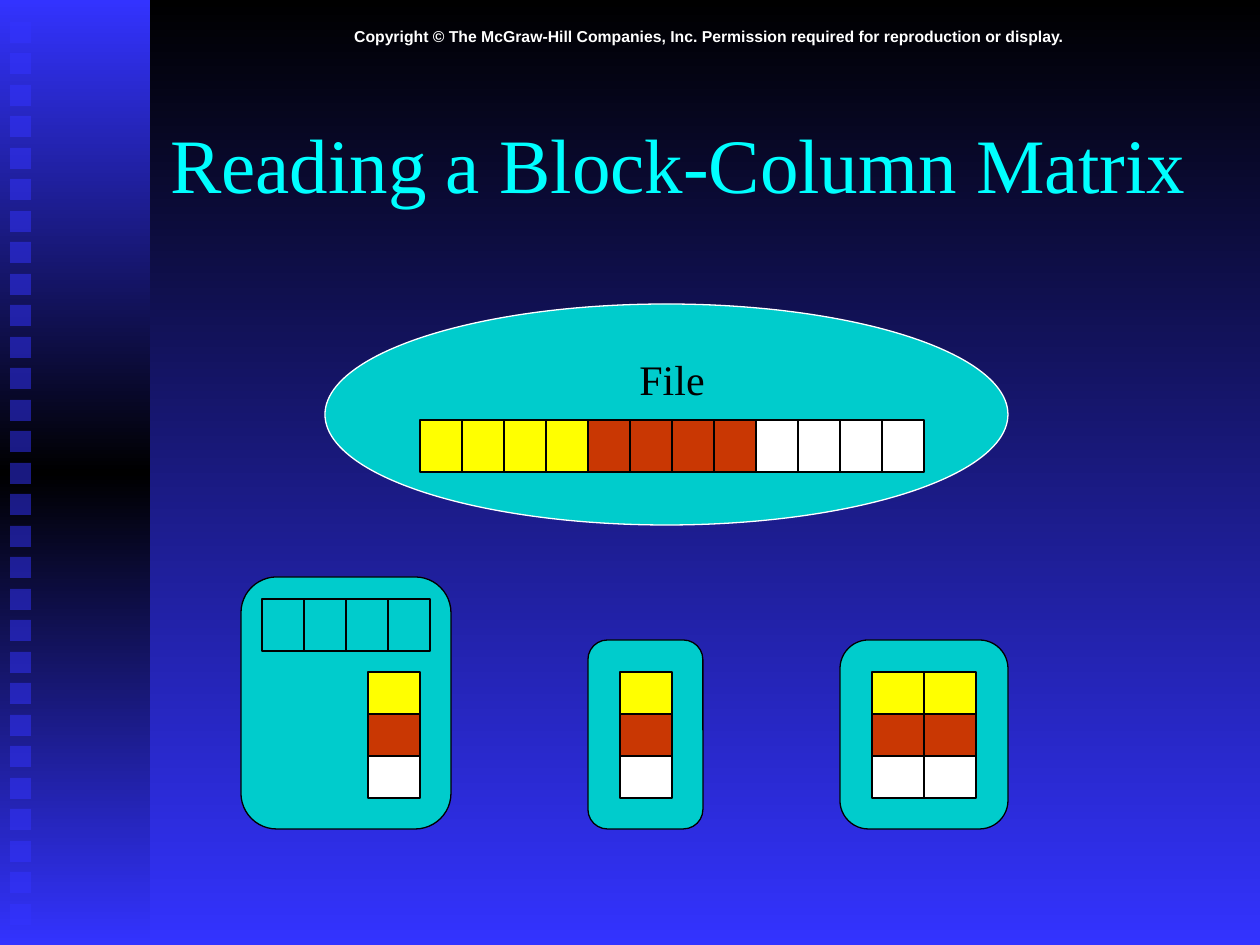
"""Build the slide on reading a block-column matrix from a file."""
import copy
from typing import NamedTuple, Optional

import pptx
import pptx.dml.color
import pptx.dml.fill
import pptx.enum.shapes
import pptx.enum.text
import pptx.oxml
import pptx.oxml.ns
import pptx.shapes.autoshape
import pptx.slide
import pptx.util

RGBColor = pptx.dml.color.RGBColor
MSO_SHAPE = pptx.enum.shapes.MSO_SHAPE
PP_ALIGN = pptx.enum.text.PP_ALIGN
MSO_ANCHOR = pptx.enum.text.MSO_ANCHOR

EMU_PER_PX = 914400 / 126
BLACK = RGBColor(0x00, 0x00, 0x00)
WHITE = RGBColor(0xFF, 0xFF, 0xFF)
BLUE = RGBColor(0x33, 0x33, 0xFF)
CYAN = RGBColor(0x00, 0xFF, 0xFF)
TEAL = RGBColor(0x00, 0xCC, 0xCC)
YELLOW = RGBColor(0xFF, 0xFF, 0x00)
RUST = RGBColor(0xC9, 0x37, 0x03)

BLOCK_COLORS = (YELLOW, RUST, WHITE)
CELL_SHORT, CELL_LONG = 42, 52
BLOCK_SIZE = 4


class Box(NamedTuple):
    """A rectangle in px."""
    x: int
    y: int
    w: int
    h: int


class Process(NamedTuple):
    """A process frame and the left edges of its matrix columns."""
    frame: Box
    columns: tuple[int, ...]


PROCESSES = (
    Process(Box(241, 577, 210, 252), (368,)),
    Process(Box(588, 640, 115, 189), (620,)),
    Process(Box(840, 640, 168, 189), (872, 924)),
)


def px(n: int) -> int:
    """Turn px into EMU."""
    return round(n * EMU_PER_PX)


def set_gradient(fill: pptx.dml.fill.FillFormat, root, *colors: RGBColor) -> None:
    """Give a fill a vertical gradient with evenly spaced stops."""
    fill.gradient()
    fill.gradient_angle = 270
    stops = next(root.iter(pptx.oxml.ns.qn("a:gsLst")))
    while len(stops) < len(colors):
        stops.append(copy.deepcopy(stops[-1]))
    for i, (stop, color) in enumerate(zip(fill.gradient_stops, colors)):
        stop.position = i / (len(colors) - 1)
        stop.color.rgb = color


def add_shape(
    slide: pptx.slide.Slide,
    kind: MSO_SHAPE,
    box: Box,
    fill: RGBColor,
    line: Optional[RGBColor] = BLACK,
) -> pptx.shapes.autoshape.Shape:
    """Draw a flat preset shape."""
    sp = slide.shapes.add_shape(kind, *map(px, box))
    sp.shadow.inherit = False
    sp.fill.solid()
    sp.fill.fore_color.rgb = fill
    if line is None:
        sp.line.fill.background()
    else:
        sp.line.color.rgb = line
        sp.line.width = pptx.util.Pt(0.75)
    return sp


def add_text(
    slide: pptx.slide.Slide,
    text: str,
    box: Box,
    *,
    size: int,
    color: RGBColor,
    font: str = "Times New Roman",
    bold: bool = False,
    align: PP_ALIGN = PP_ALIGN.LEFT,
    anchor: MSO_ANCHOR = MSO_ANCHOR.TOP,
    wrap: bool = True,
) -> None:
    """Write one line of text in a text box."""
    tf = slide.shapes.add_textbox(*map(px, box)).text_frame
    tf.word_wrap = wrap
    tf.vertical_anchor = anchor
    p = tf.paragraphs[0]
    p.alignment = align
    r = p.add_run()
    r.text = text
    r.font.name = font
    r.font.size = pptx.util.Pt(size)
    r.font.bold = bold
    r.font.color.rgb = color


def add_row(slide: pptx.slide.Slide, x: int, y: int, colors: list[RGBColor]) -> None:
    """Draw a row of touching upright cells."""
    for i, color in enumerate(colors):
        cell = Box(x + i * CELL_SHORT, y, CELL_SHORT, CELL_LONG)
        add_shape(slide, MSO_SHAPE.RECTANGLE, cell, color)


def add_process(slide: pptx.slide.Slide, process: Process) -> None:
    """Draw a process frame with its matrix columns."""
    sp = add_shape(slide, MSO_SHAPE.ROUNDED_RECTANGLE, process.frame, TEAL)
    sp.adjustments[0] = 0.17
    for x in process.columns:
        for i, color in enumerate(BLOCK_COLORS):
            cell = Box(x, 672 + i * CELL_SHORT, CELL_LONG, CELL_SHORT)
            add_shape(slide, MSO_SHAPE.RECTANGLE, cell, color)


def add_sidebar(slide: pptx.slide.Slide) -> None:
    """Draw the left band with its column of translucent squares."""
    band = add_shape(slide, MSO_SHAPE.RECTANGLE, Box(0, 0, 150, 945), BLUE, None)
    set_gradient(band.fill, band.element, BLUE, BLACK, BLUE)
    for i in range(29):
        square = Box(10, 22 + i * 63 // 2, 21, 21)
        sp = add_shape(slide, MSO_SHAPE.RECTANGLE, square, BLUE, None)
        clr = next(sp.element.spPr.iter(pptx.oxml.ns.qn("a:srgbClr")))
        alpha = pptx.oxml.parse_xml(
            f'<a:alpha {pptx.oxml.ns.nsdecls("a")} val="50000"/>'
        )
        clr.append(alpha)


def main() -> None:
    """Build and save the slide."""
    prs = pptx.Presentation()
    prs.slide_width, prs.slide_height = px(1260), px(945)
    s = prs.slides.add_slide(prs.slide_layouts[6])
    set_gradient(s.background.fill, s.element, BLACK, BLUE)
    add_sidebar(s)
    add_text(
        s,
        "Copyright © The McGraw-Hill Companies, Inc. "
        "Permission required for reproduction or display.",
        Box(157, 21, 1103, 32),
        size=9, color=WHITE, font="Arial", bold=True, align=PP_ALIGN.CENTER,
    )
    add_text(
        s, "Reading a Block-Column Matrix", Box(158, 84, 1071, 158),
        size=44, color=CYAN, anchor=MSO_ANCHOR.MIDDLE,
    )
    add_shape(s, MSO_SHAPE.OVAL, Box(325, 304, 683, 221), TEAL, WHITE)
    add_text(s, "File", Box(627, 347, 91, 63), size=24, color=BLACK, wrap=False)
    add_row(s, 420, 420, [c for c in BLOCK_COLORS for _ in range(BLOCK_SIZE)])
    for process in PROCESSES:
        add_process(s, process)
    add_row(s, 262, 599, [TEAL] * BLOCK_SIZE)
    prs.save("out.pptx")


if __name__ == "__main__":
    main()
